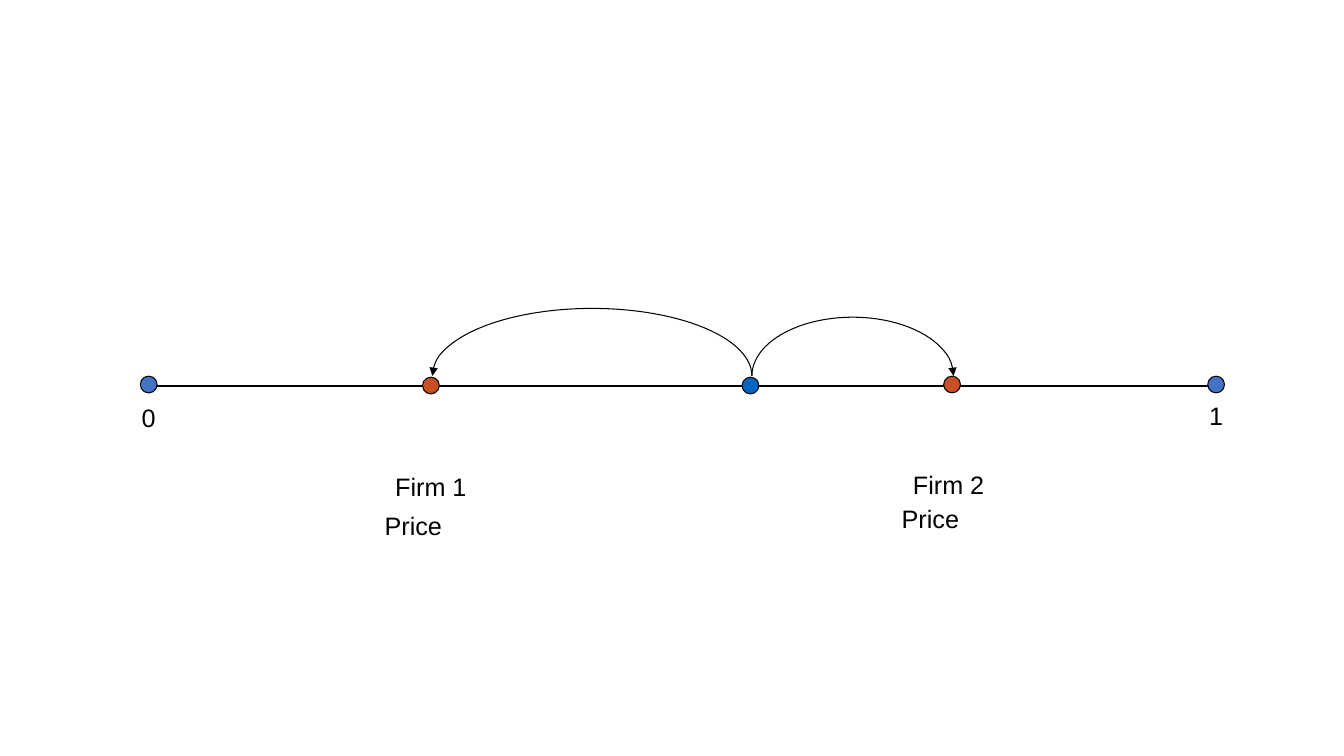
from lxml import etree
from pptx import Presentation, util as u
from pptx.dml.color import RGBColor
from pptx.enum import shapes, text
from pptx.oxml import ns

BLACK = RGBColor(0x00, 0x00, 0x00)
END_BLUE = RGBColor(0x44, 0x72, 0xC4)
CONSUMER_BLUE = RGBColor(0x05, 0x63, 0xC1)
FIRM_RED = RGBColor(0xC7, 0x50, 0x25)

# Grid of 160 columns by 90 rows, twelve cells to the inch
COLS, ROWS, CELL = 160, 90, u.Inches(1) / 12
DOT = 2


def cells(*counts):
    return [round(n * CELL) for n in counts]


def add_text(s, words, center, top, width, size=18, font="Arial", color=BLACK):
    tb = s.shapes.add_textbox(*cells(center - width / 2, top, width, 4.8))
    tf = tb.text_frame
    tf.word_wrap = False
    tf.auto_size = text.MSO_AUTO_SIZE.SHAPE_TO_FIT_TEXT
    p = tf.paragraphs[0]
    p.alignment = text.PP_ALIGN.CENTER
    r = p.add_run()
    r.text = words
    r.font.size, r.font.name = u.Pt(size), font
    r.font.color.rgb = color


def set_line(sp, width):
    sp.line.color.rgb = BLACK
    sp.line.width = u.Pt(width)


def add_dot(s, x, y, color):
    sp = s.shapes.add_shape(shapes.MSO_SHAPE.OVAL,
                            *cells(x - DOT / 2, y - DOT / 2, DOT, DOT))
    sp.shadow.inherit = False
    sp.fill.solid()
    sp.fill.fore_color.rgb = color
    set_line(sp, 0.75)


def add_arc(s, left, right, bottom, height, arrow_end):
    """Upper half of an ellipse, with an arrowhead at its left or right foot."""
    sp = s.shapes.add_shape(shapes.MSO_SHAPE.ARC,
                            *cells(left, bottom - height, right - left, 2 * height))
    sp.adjustments[0], sp.adjustments[1] = 108, 0  # from 180 degrees to 0
    sp.shadow.inherit = False
    sp.fill.background()
    set_line(sp, 0.75)
    tag = "a:headEnd" if arrow_end == "left" else "a:tailEnd"
    etree.SubElement(sp.line._get_or_add_ln(), ns.qn(tag), type="triangle")


def add_market(s, left, axis, width):
    """Market line from 0 to 1 with two firms and a consumer between them."""
    # Market line
    line = s.shapes.add_connector(shapes.MSO_CONNECTOR.STRAIGHT,
                                  *cells(left, axis, left + width, axis))
    set_line(line, 1.5)
    etree.SubElement(line._element.spPr, ns.qn("a:effectLst"))

    # Ends, firms and consumer: offset, rise above the line, colour
    firm_1, consumer, firm_2 = 33.6, 71.64, 95.64
    for x, rise, color in ((0, 0.18, END_BLUE), (width, 0.18, END_BLUE),
                           (consumer, 0.06, CONSUMER_BLUE),
                           (firm_1, 0.06, FIRM_RED), (firm_2, 0.18, FIRM_RED)):
        add_dot(s, left + x, axis - rise, color)

    # Labels: words, offset of centre, drop below the line, width
    for words, x, drop, w in (("0", 0, 1.32, 6), ("1", width, 1.08, 6),
                              ("Firm 1", firm_1, 9.6, 11),
                              ("Firm 2", firm_2 - 0.4, 9.36, 11),
                              ("Price ", firm_1 - 1.68, 14.16, 16),
                              ("Price ", firm_2 - 2.16, 13.32, 16)):
        add_text(s, words, left + x, axis + drop, w)

    # Arrows from the consumer to each firm
    foot = left + 0.18
    for start, end, height, arrow_end in ((firm_1, consumer, 8.04, "left"),
                                          (consumer, firm_2, 7, "right")):
        add_arc(s, foot + start, foot + end, axis - 1.2, height, arrow_end)


def main():
    prs = Presentation()
    prs.slide_width, prs.slide_height = cells(COLS, ROWS)
    s = prs.slides.add_slide(prs.slide_layouts[6])
    add_market(s, left=17.7, axis=45.96, width=127.08)
    prs.save("out.pptx")


if __name__ == "__main__":
    main()
